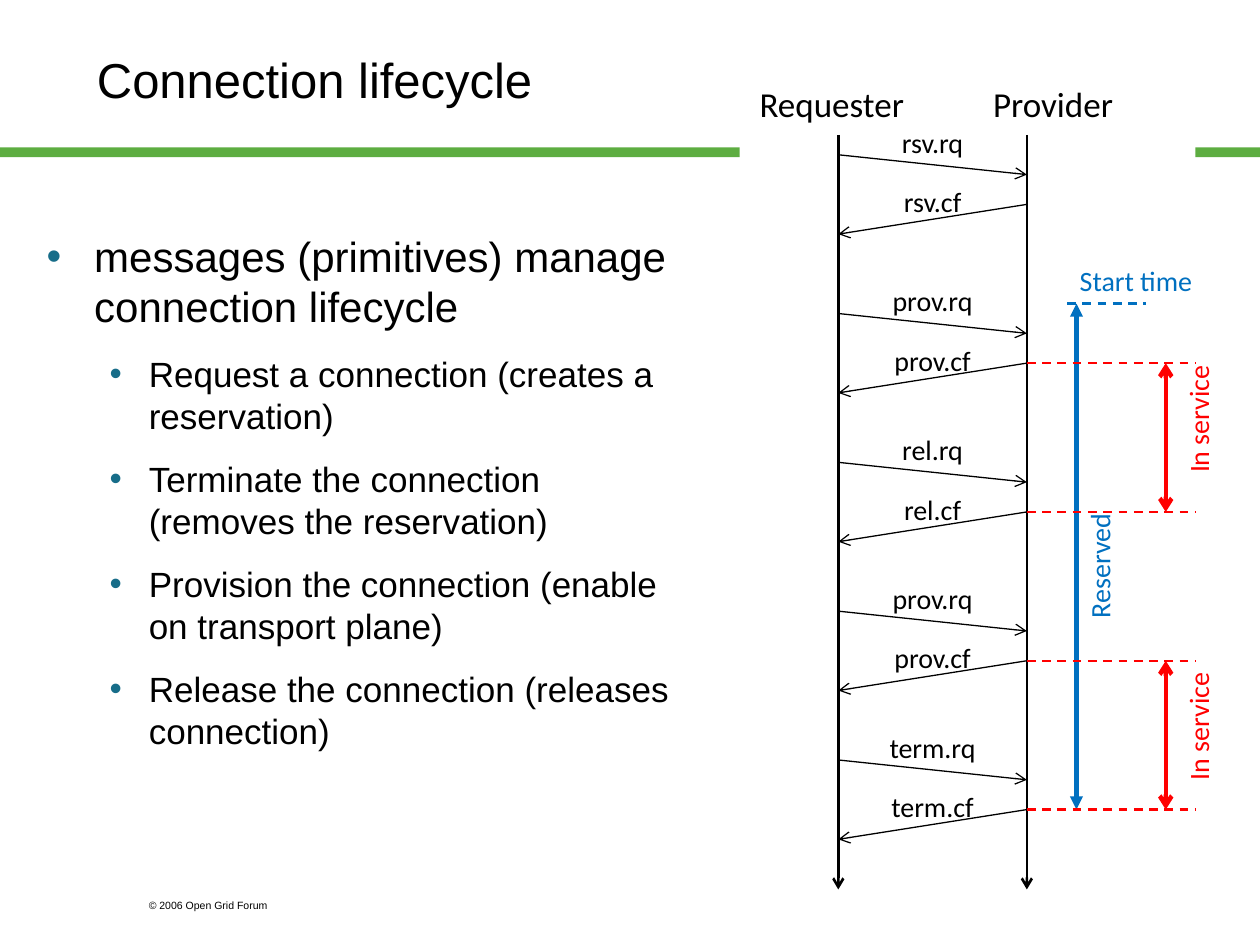
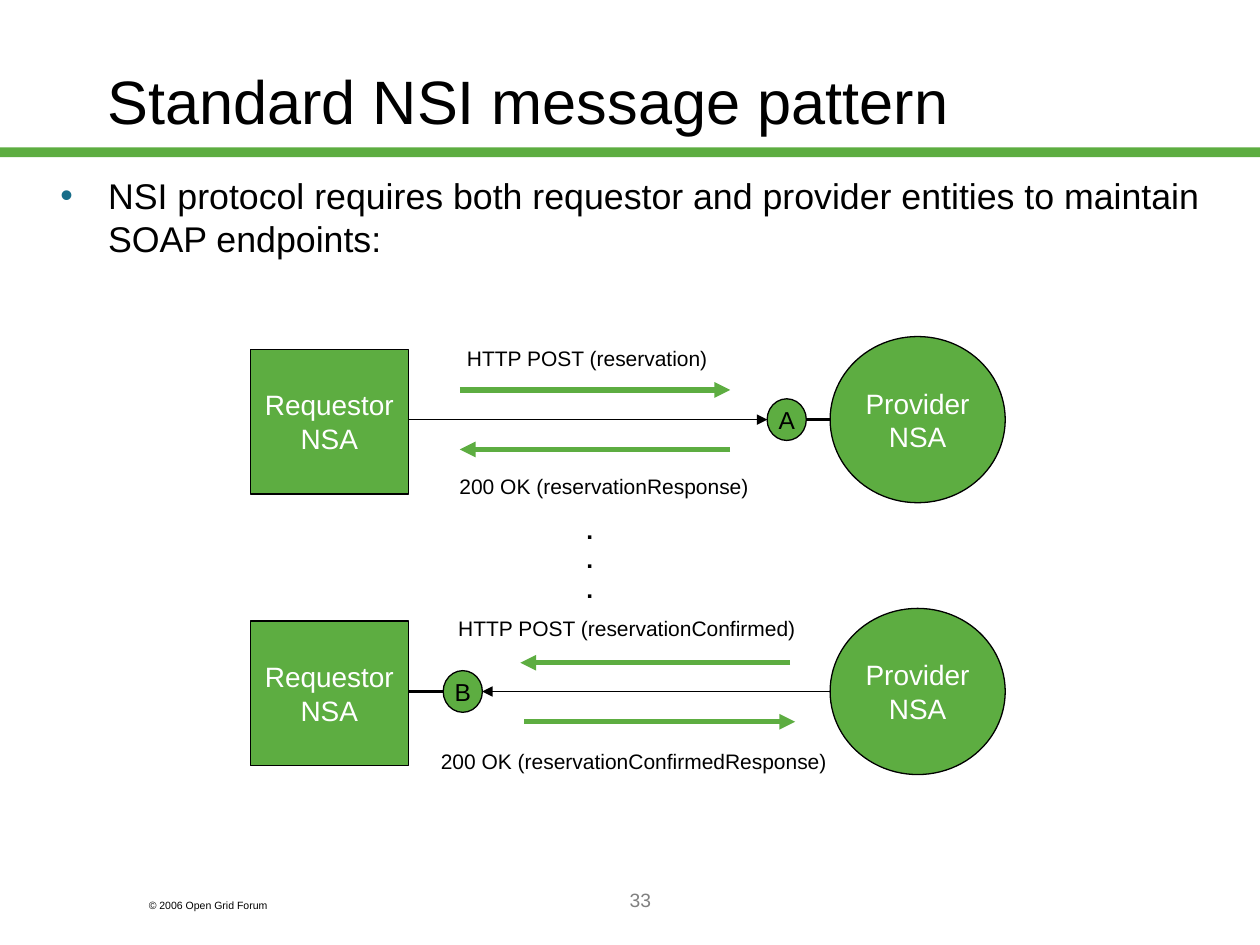
"""Build two slides on the NSI connection lifecycle and message pattern."""
from lxml.etree import SubElement
from pptx import Presentation
from pptx.dml.color import RGBColor
from pptx.enum.dml import MSO_LINE
from pptx.enum.shapes import MSO_CONNECTOR, MSO_SHAPE
from pptx.enum.text import MSO_ANCHOR, MSO_AUTO_SIZE, PP_ALIGN
from pptx.oxml.ns import qn
from pptx.util import Cm, Pt

GREEN = RGBColor(0x5D, 0xAD, 0x41)
TEAL = RGBColor(0x17, 0x6D, 0x89)
BLUE = RGBColor(0x00, 0x70, 0xC0)
RED = RGBColor(0xFF, 0x00, 0x00)
GRAY = RGBColor(0x80, 0x80, 0x80)
BLACK = RGBColor(0x00, 0x00, 0x00)
WHITE = RGBColor(0xFF, 0xFF, 0xFF)
SANS, HAND = "Arial", "Calibri"
RECT, OVAL = MSO_SHAPE.RECTANGLE, MSO_SHAPE.OVAL
MID, LEFT = PP_ALIGN.CENTER, PP_ALIGN.LEFT
WIDE, HIGH = 25.4, 19.05

FOOT = "© 2006 Open Grid Forum"
PAGE = "33"

CYCLE = "Connection lifecycle"
STEPS = [
    (0, "messages (primitives) manage connection lifecycle", 24),
    (1, "Request a connection (creates a reservation)", 20),
    (1, "Terminate the connection (removes the reservation)", 20),
    (1, "Provision the connection (enable on transport plane)", 20),
    (1, "Release the connection (releases connection)", 20),
]
ROLES = [("Requester", 16.9, 16.77), ("Provider", 20.7, 21.23)]
CALLS = ["rsv", "prov", "rel", "prov", "term"]
TIMES = [3.12] + [6.32 + 3 * i for i in range(4)]
MARKS = [
    ("Start time", 22.9, 5.65, 3.2, BLUE, 0),
    ("Reserved", 22.16, 11.41, 3.2, BLUE, 270),
    ("In service", 24.15, 8.45, 3.2, RED, 270),
    ("In service", 24.15, 14.64, 3.2, RED, 270),
]

PATTERN = "Standard NSI message pattern"
NEED = [(0, "NSI protocol requires both requestor and provider entities "
            "to maintain SOAP endpoints:", 20.4)]
PAIRS = [
    dict(y=8.46, dot="A", x=15.86, wire=(8.23, 15.47), stub=(16.26, 16.74),
         notes=[("HTTP POST (reservation)", 11.84, 5.8, -1.24),
                ("200 OK (reservationResponse)", 12.18, 6.8, 1.34)],
         flows=[(9.27, 14.72, -0.6), (14.72, 9.27, 0.6)]),
    dict(y=13.94, dot="B", x=9.33, wire=(16.74, 9.72), stub=(8.94, 8.23),
         notes=[("HTTP POST (reservationConfirmed)", 12.64, 7.8, -1.28),
                ("200 OK (reservationConfirmedResponse)", 12.78, 8.9, 1.41)],
         flows=[(15.93, 10.49, -0.58), (10.57, 16.03, 0.61)]),
]


def put(para, words, size, color, font=SANS, bold=False):
    """Add one styled run to a paragraph."""
    run = para.add_run()
    run.text = words
    run.font.name, run.font.size, run.font.bold = font, Pt(size), bold
    run.font.color.rgb = color


def fill(frame, lines, size, color, font=SANS, bold=False, align=MID):
    """Fill a text frame with one paragraph for each line."""
    frame.word_wrap = False
    frame.vertical_anchor = MSO_ANCHOR.MIDDLE
    for i, words in enumerate(lines):
        para = frame.add_paragraph() if i else frame.paragraphs[0]
        para.alignment = align
        put(para, words, size, color, font, bold)


def label(slide, lines, x, y, wide, size, color=BLACK, font=SANS,
          bold=False, turn=0, align=MID):
    """Write text in a box centred on a point."""
    tall = 0.0423 * size * len(lines) + 0.25
    box = slide.shapes.add_textbox(
        Cm(x - wide / 2), Cm(y - tall / 2), Cm(wide), Cm(tall))
    box.rotation = turn
    fill(box.text_frame, lines, size, color, font, bold, align)
    box.text_frame.word_wrap = True


def block(slide, kind, x, y, wide, tall, color, edge=None):
    """Draw a flat shape from its top left corner."""
    shape = slide.shapes.add_shape(kind, Cm(x), Cm(y), Cm(wide), Cm(tall))
    shape.shadow.inherit = False
    shape.fill.solid()
    shape.fill.fore_color.rgb = color
    if edge is None:
        shape.line.fill.background()
    else:
        shape.line.color.rgb = edge
        shape.line.width = Pt(0.75)
    return shape


def node(slide, kind, x, y, wide, tall, lines, size, color):
    """Draw a green outlined shape with text, centred on a point."""
    shape = block(slide, kind, x - wide / 2, y - tall / 2, wide, tall,
                  GREEN, BLACK)
    frame = shape.text_frame
    frame.margin_left = frame.margin_right = 0
    frame.margin_top = frame.margin_bottom = 0
    fill(frame, lines, size, color)


def link(slide, x1, y1, x2, y2, color, width, head=None, tail=None,
         dash=False):
    """Draw a straight line with optional arrowheads."""
    wire = slide.shapes.add_connector(
        MSO_CONNECTOR.STRAIGHT, Cm(x1), Cm(y1), Cm(x2), Cm(y2))
    wire.line.color.rgb = color
    wire.line.width = Pt(width)
    if dash:
        wire.line.dash_style = MSO_LINE.DASH
    props = wire.element.spPr
    pen = props.find(qn("a:ln"))
    for tag, kind in (("a:headEnd", head), ("a:tailEnd", tail)):
        if kind:
            SubElement(pen, qn(tag), type=kind)
    SubElement(props, qn("a:effectLst"))


def bullets(slide, items, x, y, wide, tall, right=0.25):
    """Write a bulleted list with up to two levels."""
    box = slide.shapes.add_textbox(Cm(x), Cm(y), Cm(wide), Cm(tall))
    frame = box.text_frame
    frame.word_wrap = True
    frame.margin_right = Cm(right)
    for i, (level, words, size) in enumerate(items):
        para = frame.add_paragraph() if i else frame.paragraphs[0]
        para.level = level
        left, hang = ((0.96, 0.96), (2.06, 0.79))[level]
        props = para._p.get_or_add_pPr()
        props.set("marL", str(Cm(left)))
        props.set("indent", str(-Cm(hang)))
        tint = SubElement(props, qn("a:buClr"))
        SubElement(tint, qn("a:srgbClr"), val=str(TEAL))
        SubElement(props, qn("a:buFont"), typeface=SANS)
        SubElement(props, qn("a:buChar"), char="•")
        if i:
            para.space_before = Pt(12)
        put(para, words, size, BLACK)


def start(deck, words, size, x, y, wide):
    """Add a slide with its title, green band and footer."""
    slide = deck.slides.add_slide(deck.slide_layouts[5])
    title = slide.shapes.title
    title.left, title.top = Cm(x), Cm(y)
    title.width, title.height = Cm(wide), Cm(3.18)
    frame = title.text_frame
    fill(frame, [words], size, BLACK, align=LEFT)
    frame.word_wrap = True
    frame.auto_size = MSO_AUTO_SIZE.NONE
    block(slide, RECT, 0, 2.97, WIDE, 0.2, GREEN)
    label(slide, [FOOT], 4.65, 18.25, 3.8, 6, align=LEFT)
    return slide


def cycle(deck):
    """Build the lifecycle slide with its sequence diagram."""
    slide = start(deck, CYCLE, 28, 1.7, 0, 21.84)
    block(slide, RECT, 14.91, 0.53, 9.19, 3.2, WHITE)
    bullets(slide, STEPS, 0.69, 4.52, 13.61, 13.92, 0.36)
    for name, x, mid in ROLES:
        link(slide, x, 2.72, x, 17.93, BLACK, 1.5, tail="arrow")
        label(slide, [name], mid, 2.08, 4, 20, font=HAND)
    near, far = (role[1] for role in ROLES)
    for call, y in zip(CALLS, TIMES):
        link(slide, near, y, far, y + 0.4, BLACK, 0.75, tail="arrow")
        link(slide, far, y + 1, near, y + 1.6, BLACK, 0.75, tail="arrow")
        for end, drop in ((".rq", -0.26), (".cf", 0.94)):
            label(slide, [call + end], 18.8, y + drop, 2.6, 16, font=HAND)
    acks = [y + 1 for y in TIMES[1:]]
    link(slide, 21.7, 6.12, 21.7, acks[-1], BLUE, 2.5,
         "triangle", "triangle")
    link(slide, 21.51, 6.12, 23.11, 6.12, BLUE, 1.25, dash=True)
    for y in acks:
        link(slide, far, y, 24.1, y, RED, 1.25, dash=True)
    for top, end in zip(acks[::2], acks[1::2]):
        link(slide, 23.5, top, 23.5, end, RED, 2.5, "arrow", "arrow")
    for words, x, y, wide, color, turn in MARKS:
        label(slide, [words], x, y, wide, 16, color, HAND, turn=turn)


def pattern(deck):
    """Build the message pattern slide."""
    slide = start(deck, PATTERN, 35, 1.91, 0.43, 21.59)
    bullets(slide, NEED, 0.97, 3.38, 23.93, 2.11)
    label(slide, [PAGE], 12.91, 18.13, 14.8, 11, GRAY)
    for pair in PAIRS:
        y = pair["y"]
        for ends, width, tail in (("wire", 0.75, "triangle"),
                                  ("stub", 2, None)):
            x1, x2 = pair[ends]
            link(slide, x1, y, x2, y, BLACK, width, tail=tail)
        node(slide, RECT, 6.64, y + 0.04, 3.18, 2.92,
             ["Requestor", "NSA"], 16, WHITE)
        node(slide, OVAL, 18.5, y, 3.53, 3.35,
             ["Provider", "NSA"], 16, WHITE)
        node(slide, OVAL, pair["x"], y, 0.79, 0.84, [pair["dot"]], 14, BLACK)
        for words, x, wide, drop in pair["notes"]:
            label(slide, [words], x, y + drop, wide, 12)
        for x1, x2, drop in pair["flows"]:
            link(slide, x1, y + drop, x2, y + drop, GREEN, 3,
                 tail="triangle")
    label(slide, ["."] * 3, 11.89, 11.27, 0.8, 14, bold=True)


def main():
    """Build and save the deck."""
    deck = Presentation()
    deck.slide_width, deck.slide_height = Cm(WIDE), Cm(HIGH)
    cycle(deck)
    pattern(deck)
    deck.save("out.pptx")


if __name__ == "__main__":
    main()
